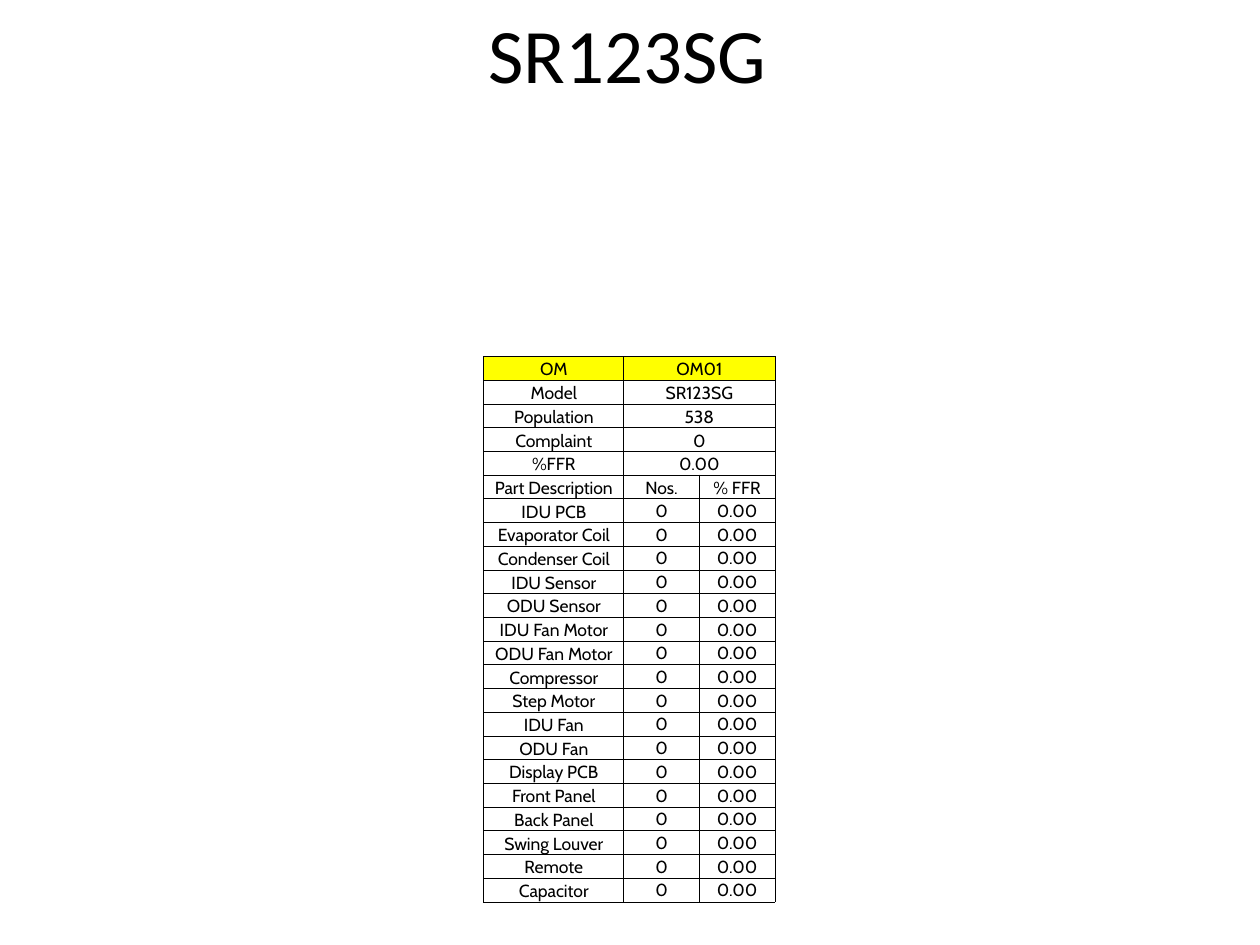
from lxml import etree
from pptx import Presentation
from pptx import util as u
from pptx.dml.color import RGBColor
from pptx.enum import text
from pptx.oxml.ns import qn

BLACK = RGBColor(0x00, 0x00, 0x00)
YELLOW = RGBColor(0xFF, 0xFF, 0x00)

TITLE = "SR123SG"
SUMMARY = [
    ("OM", "OM01"),
    ("Model", "SR123SG"),
    ("Population", "538"),
    ("Complaint", "0"),
    ("%FFR", "0.00"),
]
PART_HEADER = ("Part Description", "Nos.", "% FFR")
PARTS = [
    "IDU PCB", "Evaporator Coil", "Condenser Coil", "IDU Sensor", "ODU Sensor",
    "IDU Fan Motor", "ODU Fan Motor", "Compressor", "Step Motor", "IDU Fan",
    "ODU Fan", "Display PCB", "Front Panel", "Back Panel", "Swing Louver",
    "Remote", "Capacitor",
]
ROWS = SUMMARY + [PART_HEADER] + [(part, "0", "0.00") for part in PARTS]
FIRST_PART = len(SUMMARY) + 1

COLUMN_WIDTHS = [u.Inches(width) for width in (1.11, 0.6, 0.6)]
TABLE_LEFT, TABLE_TOP, TABLE_HEIGHT = u.Inches(3.84), u.Inches(2.83), u.Inches(4.33)
ROW_HEIGHT = TABLE_HEIGHT // len(ROWS)
BORDER_WIDTH = u.Pt(0.5)

TITLE_PLACE = {"left": u.Inches(0.48), "top": u.Inches(0.17),
               "width": u.Inches(9), "height": u.Inches(0.5)}
TITLE_FONT = {"name": "Calibri", "size": u.Pt(44)}
CELL_FONT = {"name": "Cabin", "size": u.Pt(10)}
CELL_MARGINS = {"margin_left": u.Inches(0.01), "margin_right": u.Inches(0.01),
                "margin_top": u.Inches(0.01), "margin_bottom": 0}


def set_all(target, values):
    for name, value in values.items():
        setattr(target, name, value)


def write(frame, words, font):
    para = frame.paragraphs[0]
    para.alignment = text.PP_ALIGN.CENTER
    span = para.add_run()
    span.text = words
    set_all(span.font, font)
    span.font.color.rgb = BLACK


def add_borders(cell):
    """Draw all four sides; the lines must come before the fill in tcPr."""
    properties = cell._tc.get_or_add_tcPr()
    for position, side in enumerate(("lnL", "lnR", "lnT", "lnB")):
        line = etree.Element(qn(f"a:{side}"), w=str(BORDER_WIDTH))
        fill = etree.SubElement(line, qn("a:solidFill"))
        etree.SubElement(fill, qn("a:srgbClr"), val=str(BLACK))
        properties.insert(position, line)


def add_title(page):
    title = page.shapes.title
    set_all(title, TITLE_PLACE)
    set_all(title.text_frame, {"vertical_anchor": text.MSO_ANCHOR.MIDDLE,
                               "auto_size": text.MSO_AUTO_SIZE.NONE})
    write(title.text_frame, TITLE, TITLE_FONT)


def add_failure_table(page):
    table = page.shapes.add_table(
        len(ROWS), len(COLUMN_WIDTHS), TABLE_LEFT, TABLE_TOP,
        sum(COLUMN_WIDTHS), TABLE_HEIGHT).table
    set_all(table, {"first_row": False, "horz_banding": False})
    for column, width in zip(table.columns, COLUMN_WIDTHS):
        column.width = width

    for r, words in enumerate(ROWS):
        table.rows[r].height = ROW_HEIGHT
        if len(words) == 2:
            table.cell(r, 1).merge(table.cell(r, 2))
        for c in range(len(COLUMN_WIDTHS)):
            cell = table.cell(r, c)
            set_all(cell, CELL_MARGINS)
            is_value = r >= FIRST_PART and c > 0
            cell.vertical_anchor = text.MSO_ANCHOR.MIDDLE if is_value else text.MSO_ANCHOR.BOTTOM
            if r == 0:
                cell.fill.solid()
                cell.fill.fore_color.rgb = YELLOW
            else:
                cell.fill.background()
            add_borders(cell)
            if c < len(words):
                write(cell.text_frame, words[c], CELL_FONT)
            else:
                cell.text_frame.paragraphs[0].font.size = CELL_FONT["size"]


def main():
    deck = Presentation()
    deck.slide_width, deck.slide_height = u.Inches(10), u.Inches(7.5)
    page = deck.slides.add_slide(deck.slide_layouts.get_by_name("Title Only"))
    add_title(page)
    add_failure_table(page)
    deck.save("out.pptx")


if __name__ == "__main__":
    main()
